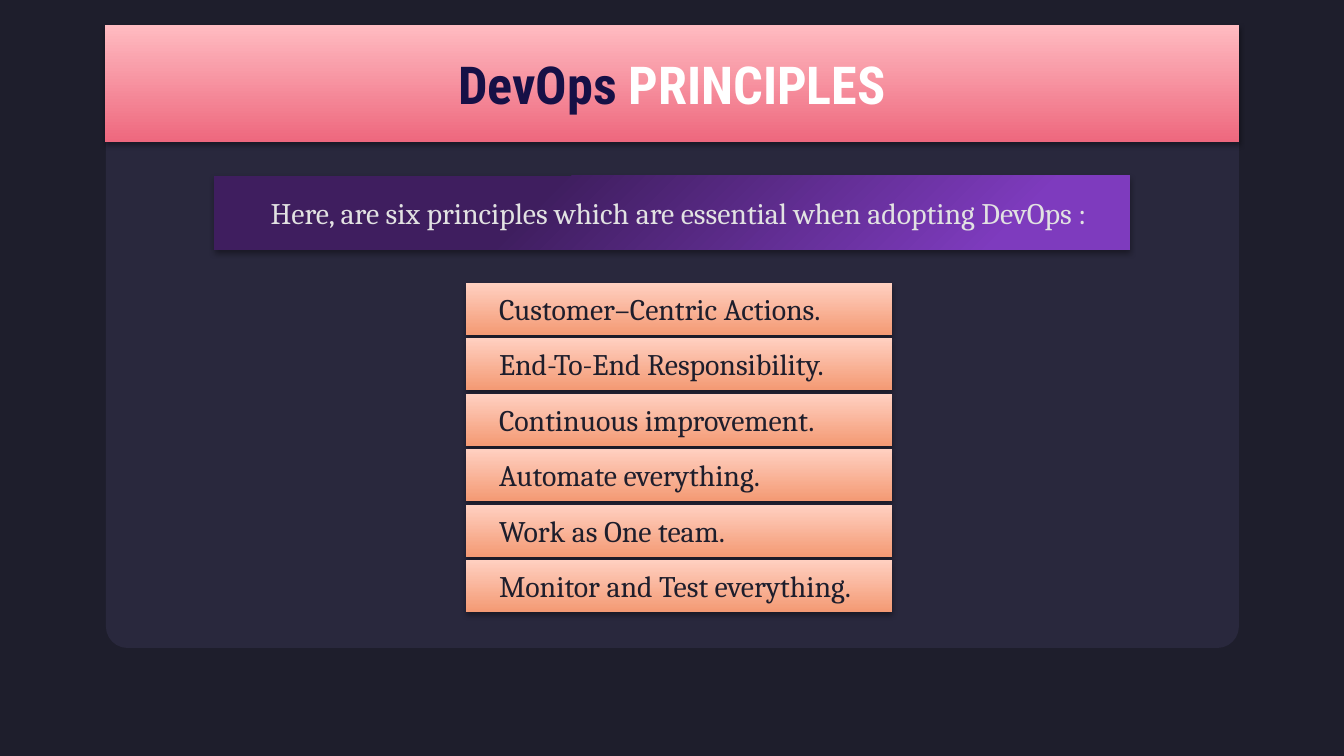
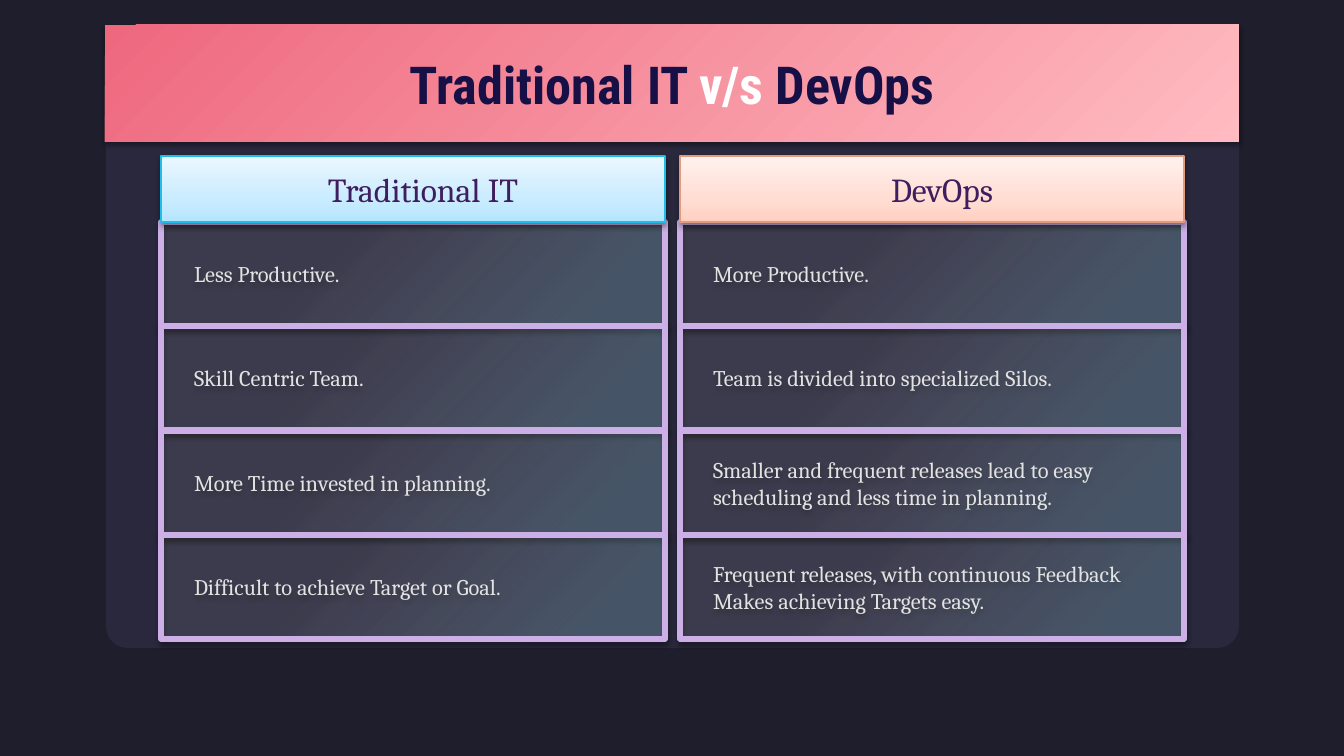
import dataclasses

import lxml.etree
import pptx
import pptx.dml.color
import pptx.enum.shapes
import pptx.enum.text
import pptx.oxml.ns
import pptx.util

EMU_PER_PX = 12192000 / 1792  # 134.4 px to the inch
TITLE_ONLY = 5
SHAPES = pptx.enum.shapes.MSO_SHAPE
ALIGN = pptx.enum.text.PP_ALIGN


@dataclasses.dataclass(frozen=True)
class Theme:
    # Colours
    background: str = "1E1E2C"
    panel: str = "29283D"
    navy: str = "161046"
    white: str = "FFFFFF"
    pale: str = "E2E2E2"
    violet: str = "3F1E5F"
    lilac: str = "CBAFE6"
    blue_edge: str = "1EBEEB"
    peach_edge: str = "E29B7E"
    # Gradient stops: position, colour, opacity in percent
    rose: tuple = ((0, "EE687E", 100), (100, "FFBBC1", 100))
    rose_corner: tuple = ((0, "FFBBC1", 100), (100, "EE687E", 100))
    purple: tuple = ((14, "7E3BBE", 100), (65, "3F1E5F", 100))
    peach: tuple = ((0, "F49A74", 100), (100, "FFD0C1", 100))
    glass: tuple = ((14, "A7E5F7", 26), (65, "FFFFFF", 10))
    pale_blue: tuple = ((0, "B4E5FF", 100), (35, "CAECFF", 100), (100, "EBF7FF", 100))
    pale_peach: tuple = ((0, "FFD0C1", 100), (35, "FFDDD3", 100), (100, "FFF2EE", 100))
    # Type
    title_font: str = "Roboto Condensed"
    body_font: str = "Cambria"
    title_size: int = 28
    heading_size: int = 18
    lead_size: int = 16
    cell_size: int = 12


def px(length):
    return pptx.util.Emu(round(length * EMU_PER_PX))


def rgb(colour):
    return pptx.dml.color.RGBColor.from_string(colour)


def sub(parent, tag, **attributes):
    """Add a child element with the given attributes."""
    child = lxml.etree.SubElement(parent, pptx.oxml.ns.qn(tag))
    for name, value in attributes.items():
        child.set(name, str(value))
    return child


class Deck:
    def __init__(self, theme):
        self.theme = theme
        self.presentation = pptx.Presentation()
        self.presentation.slide_width = px(1344)
        self.presentation.slide_height = px(756)
        self.layout = self.presentation.slide_layouts[TITLE_ONLY]
        self.slide = None
        backdrop = self.presentation.slide_master.background.fill
        backdrop.solid()
        backdrop.fore_color.rgb = rgb(theme.background)

    def new_slide(self, title_parts, stops, from_corner=False):
        first = self.slide is None
        self.slide = self.presentation.slides.add_slide(self.layout)
        if first:
            self.shared_panel()
        self.title(title_parts, stops, from_corner)

    def shared_panel(self):
        """Place the rounded panel behind everything on the layout."""
        panel = self.slide.shapes.add_shape(
            SHAPES.ROUNDED_RECTANGLE, px(106), px(110), px(1133), px(538))
        panel.adjustments[0] = 0.04
        panel.fill.solid()
        panel.fill.fore_color.rgb = rgb(self.theme.panel)
        panel.line.fill.background()
        panel.shadow.inherit = False
        self.layout.shapes.element.insert(2, panel.element)

    def title(self, parts, stops, from_corner):
        title = self.slide.shapes.title
        title.left, title.top, title.width, title.height = map(px, (105, 25, 1134, 117))
        self.gradient(title, stops, from_corner)
        self.shadow(title)
        frame = self.frame(title)
        frame.auto_size = pptx.enum.text.MSO_AUTO_SIZE.NONE
        paragraph = frame.paragraphs[0]
        paragraph.alignment = ALIGN.CENTER
        paragraph.font.name = self.theme.title_font
        paragraph.font.size = pptx.util.Pt(self.theme.title_size)
        paragraph.font.bold = True
        for words, colour in parts:
            run = paragraph.add_run()
            run.text = words
            run.font.color.rgb = rgb(colour)

    def box(self, place, lines, stops, size, colour,
            centred=False, from_corner=False, edge=None, edge_width=0.75):
        """Add a shadowed gradient box with one paragraph per line."""
        box = self.slide.shapes.add_shape(SHAPES.RECTANGLE, *map(px, place))
        self.gradient(box, stops, from_corner)
        if edge:
            box.line.color.rgb = rgb(edge)
            box.line.width = pptx.util.Pt(edge_width)
        else:
            box.line.fill.background()
        self.shadow(box)
        frame = self.frame(box)
        for number, line in enumerate(lines):
            paragraph = frame.add_paragraph() if number else frame.paragraphs[0]
            paragraph.text = line
            paragraph.alignment = ALIGN.CENTER if centred else ALIGN.LEFT
            paragraph.font.name = self.theme.body_font
            paragraph.font.size = pptx.util.Pt(size)
            paragraph.font.color.rgb = rgb(colour)
            indents = paragraph._p.get_or_add_pPr()
            indents.set("marL", str(px(67)))
            indents.set("indent", str(px(-47)))

    @staticmethod
    def frame(shape):
        frame = shape.text_frame
        frame.word_wrap = True
        frame.vertical_anchor = pptx.enum.text.MSO_ANCHOR.MIDDLE
        frame.margin_left = frame.margin_right = px(13)
        frame.margin_top = frame.margin_bottom = px(13)
        return frame

    @staticmethod
    def gradient(shape, stops, from_corner):
        """Fill from the bottom up, or from the bottom right corner."""
        shape.fill.gradient()
        fill = shape.element.spPr.find(pptx.oxml.ns.qn("a:gradFill"))
        for child in list(fill):
            fill.remove(child)
        stop_list = sub(fill, "a:gsLst")
        for position, colour, opacity in stops:
            stop = sub(stop_list, "a:gs", pos=position * 1000)
            tint = sub(stop, "a:srgbClr", val=colour)
            if opacity < 100:
                sub(tint, "a:alpha", val=opacity * 1000)
        if from_corner:
            circle = sub(fill, "a:path", path="circle")
            sub(circle, "a:fillToRect", l=100000, t=100000)
        else:
            sub(fill, "a:lin", ang=270 * 60000, scaled=0)

    @staticmethod
    def shadow(shape):
        shape.shadow.inherit = False
        effects = shape.element.spPr.find(pptx.oxml.ns.qn("a:effectLst"))
        outer = sub(effects, "a:outerShdw", blurRad=pptx.util.Pt(3.1),
                    dist=pptx.util.Pt(1.6), dir=90 * 60000, algn="t", rotWithShape=0)
        sub(sub(outer, "a:srgbClr", val="000000"), "a:alpha", val=38000)


def principles_slide(deck):
    theme = deck.theme
    deck.new_slide([("DevOps ", theme.navy), ("PRINCIPLES", theme.white)], theme.rose)

    # Lead sentence
    deck.box((214, 176, 916, 74),
             ["Here, are six principles which are essential when adopting DevOps : "],
             theme.purple, theme.lead_size, theme.pale, centred=True, from_corner=True)

    # Stack of principles
    principles = ["Customer–Centric Actions.", "End-To-End Responsibility.",
                  "Continuous improvement.", "Automate everything.",
                  "Work as One team.", "Monitor and Test everything."]
    for index, principle in enumerate(principles):
        top = 283 + round(index * 55.4)
        deck.box((466, top, 426, 52), [principle],
                 theme.peach, theme.lead_size, theme.background)


def comparison_slide(deck):
    theme = deck.theme
    deck.new_slide([("Traditional IT ", theme.navy), ("v/s ", theme.white),
                    ("DevOps", theme.navy)], theme.rose_corner, from_corner=True)

    columns = [
        ("Traditional IT", theme.pale_blue, theme.blue_edge, [
            ["Less Productive."],
            ["Skill Centric Team."],
            ["More Time invested in planning."],
            ["Difficult to achieve Target or Goal."]]),
        ("DevOps", theme.pale_peach, theme.peach_edge, [
            ["More Productive."],
            ["Team is divided into specialized Silos."],
            ["Smaller and frequent releases lead to easy",
             "scheduling and less time in planning."],
            ["Frequent releases, with continuous Feedback",
             "Makes achieving Targets easy."]]),
    ]
    for column, (heading, stops, edge, traits) in enumerate(columns):
        left = 161 + column * 519
        # Traits, then the heading that overlaps the first of them
        for row, lines in enumerate(traits):
            top = 222 + round(row * 104.4)
            deck.box((left, top, 504, 104), lines, theme.glass, theme.cell_size,
                     theme.pale, from_corner=True, edge=theme.lilac, edge_width=3)
        deck.box((left, 156, 504, 66), [heading], stops, theme.heading_size,
                 theme.violet, centred=True, edge=edge)


def main():
    deck = Deck(Theme())
    principles_slide(deck)
    comparison_slide(deck)
    deck.presentation.save("out.pptx")


if __name__ == "__main__":
    main()
